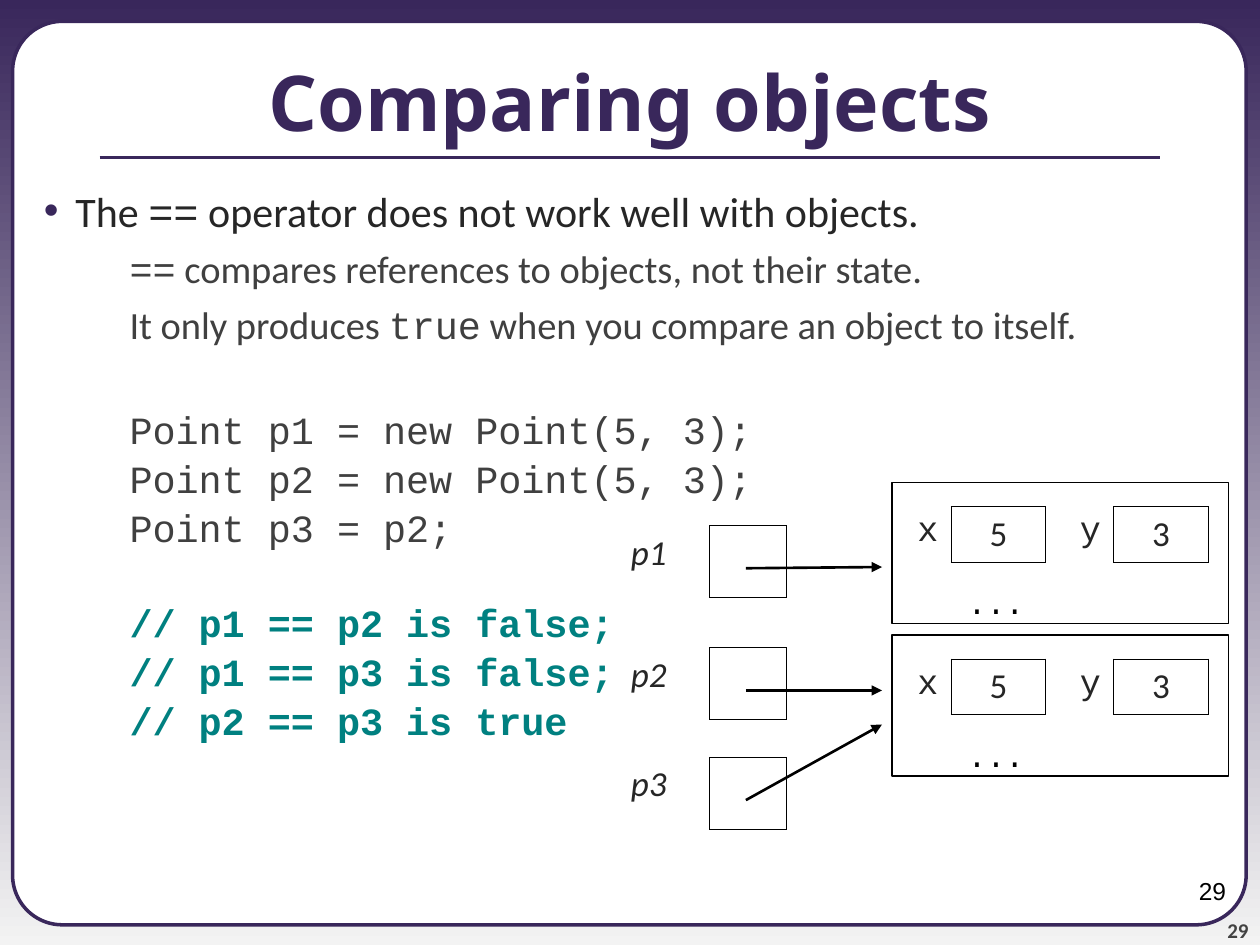
"""Build the slide on comparing objects with the == operator."""
import pptx
import pptx.util
import pptx.oxml
from pptx.dml.color import RGBColor
from pptx.enum.shapes import MSO_CONNECTOR, MSO_SHAPE
from pptx.enum.text import MSO_ANCHOR, PP_ALIGN
from pptx.oxml.ns import nsdecls
from pptx.util import Inches, Pt

PURPLE = RGBColor(0x39, 0x27, 0x5B)
PALE = RGBColor(0xF3, 0xF3, 0xF3)
WHITE = RGBColor(0xFF, 0xFF, 0xFF)
BLACK = RGBColor(0, 0, 0)
INK = RGBColor(0x26, 0x26, 0x26)
GREY = RGBColor(0x40, 0x40, 0x40)
NUMBER_GREY = RGBColor(0x42, 0x42, 0x42)
TEAL = RGBColor(0, 0x80, 0x80)
SANS, MONO = "Calibri", "Courier New"
NO_STYLE = "{2D5ABB26-0587-4C30-8999-92F81FD0307C}"

TITLE = "Comparing objects"
NUMBER = "29"
BULLETS = [
    [("The ", SANS), ("==", MONO), (" operator does not work well with objects.", SANS)],
    [("==", MONO), (" compares references to objects, not their state.", SANS)],
    [("It only produces ", SANS), ("true", MONO),
     (" when you compare an object to itself.", SANS)],
]
CODE = ["Point p1 = new Point(5, 3);", "Point p2 = new Point(5, 3);", "Point p3 = p2;"]
RESULTS = ["// p1 == p2 is false;", "// p1 == p3 is false;", "// p2 == p3 is true"]
FIELDS = [("x", MONO), ("5", SANS), (" y", MONO), ("3", SANS)]
FIELD_WIDTHS = [0.37, 0.75, 0.54, 0.75]
OBJECT_TOPS = [3.83, 5.04]
VARIABLES = [("p1", 4.17, 4.5), ("p2", 5.14, 5.48), ("p3", 6.01, 5.75)]


def style(run, size, font, color, bold=False, italic=False):
    f = run.font
    f.size, f.name, f.bold, f.italic = Pt(size), font, bold, italic
    f.color.rgb = color


def add_text(s, box, text, align, anchor, look, inset=True):
    tf = s.shapes.add_textbox(*map(Inches, box)).text_frame
    tf.word_wrap = True
    tf.vertical_anchor = anchor
    if not inset:
        tf.margin_left = tf.margin_right = tf.margin_top = tf.margin_bottom = 0
    tf.text = text
    p = tf.paragraphs[0]
    p.alignment = align
    style(p.runs[0], *look)


def add_line(s, start, end, color, width, arrow=False):
    c = s.shapes.add_connector(MSO_CONNECTOR.STRAIGHT, *map(Inches, start + end))
    c.line.color.rgb = color
    c.line.width = Pt(width)
    spPr = c._element.spPr
    if arrow:
        c.line._get_or_add_ln().append(
            pptx.oxml.parse_xml(f'<a:tailEnd {nsdecls("a")} type="triangle"/>'))
    spPr.append(pptx.oxml.parse_xml(f'<a:effectLst {nsdecls("a")}/>'))


def add_body(s):
    tf = s.shapes.add_textbox(*map(Inches, (0, 1.42, 10, 6.08))).text_frame
    tf.word_wrap = True
    lines = [(runs, 24 if i == 0 else 22, INK if i == 0 else GREY, False, 5.5 if i else 0, 1)
             for i, runs in enumerate(BULLETS)]
    for block, color, bold, gap in ((CODE, GREY, False, 37.8), (RESULTS, TEAL, True, 32.1)):
        lines += [([(text, MONO)], 22, color, bold, 5.5 if i else gap, 0.85)
                  for i, text in enumerate(block)]
    for i, (runs, size, color, bold, before, spacing) in enumerate(lines):
        p = tf.add_paragraph() if i else tf.paragraphs[0]
        p.space_before = Pt(before)
        p.line_spacing = spacing
        pPr = p._p.get_or_add_pPr()
        pPr.set("marL", str(Inches(0.93 if i else 0.5)))
        if i == 0:
            pPr.set("indent", str(Inches(-0.25)))
            for xml in (f'<a:buClr {nsdecls("a")}><a:srgbClr val="{PURPLE}"/></a:buClr>',
                        f'<a:buFont {nsdecls("a")} typeface="Arial"/>',
                        f'<a:buChar {nsdecls("a")} char="•"/>'):
                pPr.append(pptx.oxml.parse_xml(xml))
        for text, font in runs:
            r = p.add_run()
            r.text = text
            style(r, size, font, color, bold)


def add_cells(s, left, top, height, widths, cells, italic=False):
    frame = s.shapes.add_table(1, len(widths), Inches(left), Inches(top),
                               Inches(sum(widths)), Inches(height))
    table = frame.table
    table.first_row = table.horz_banding = False
    table._tbl.tblPr[0].text = NO_STYLE
    for i, (width, (text, font)) in enumerate(zip(widths, cells)):
        table.columns[i].width = Inches(width)
        cell = table.cell(0, i)
        cell.fill.background()
        edges = "LRTB" if i % 2 else "LR" if i else "R"
        tcPr = cell._tc.get_or_add_tcPr()
        for n, edge in enumerate(edges):
            tcPr.insert(n, pptx.oxml.parse_xml(
                f'<a:ln{edge} {nsdecls("a")} w="{Pt(0.45)}"><a:solidFill>'
                f'<a:srgbClr val="{BLACK}"/></a:solidFill></a:ln{edge}>'))
        if text:
            cell.text_frame.text = text
            p = cell.text_frame.paragraphs[0]
            p.alignment = PP_ALIGN.CENTER
            style(p.runs[0], 20, font, INK, italic=italic)


def add_object(s, top):
    sp = s.shapes.add_shape(MSO_SHAPE.RECTANGLE, *map(Inches, (7.08, top, 2.67, 1.12)))
    sp.shadow.inherit = False
    sp.fill.background()
    sp.line.color.rgb = BLACK
    sp.line.width = Pt(0.75)
    tf = sp.text_frame
    tf.vertical_anchor = MSO_ANCHOR.BOTTOM
    tf.margin_left, tf.margin_bottom = Inches(0.6), Inches(0.02)
    tf.text = "..."
    p = tf.paragraphs[0]
    p.alignment = PP_ALIGN.LEFT
    style(p.runs[0], 18, MONO, BLACK)
    add_cells(s, 7.18, top + 0.19, 0.44, FIELD_WIDTHS, FIELDS)


def main():
    prs = pptx.Presentation()
    prs.slide_width, prs.slide_height = Inches(10), Inches(7.5)
    s = prs.slides.add_slide(prs.slide_layouts[6])
    fill = s.background.fill
    fill.gradient()
    fill.gradient_angle = 270
    for stop, color in zip(fill.gradient_stops, (PURPLE, PALE)):
        stop.color.rgb = color

    panel = s.shapes.add_shape(MSO_SHAPE.ROUNDED_RECTANGLE,
                               *map(Inches, (0.1, 0.17, 9.79, 7.17)))
    panel.adjustments[0] = 0.055
    panel.shadow.inherit = False
    panel.fill.solid()
    panel.fill.fore_color.rgb = WHITE
    panel.line.color.rgb = PURPLE
    panel.line.width = Pt(2)

    add_text(s, (9.08, 7.08, 0.83, 0.4), NUMBER, PP_ALIGN.RIGHT, MSO_ANCHOR.BOTTOM,
             (12, SANS, NUMBER_GREY, True), inset=False)
    add_line(s, (0.79, 1.25), (9.21, 1.25), PURPLE, 2.25)
    add_text(s, (0, 0.17, 10, 1.25), TITLE, PP_ALIGN.CENTER, MSO_ANCHOR.MIDDLE,
             (44, "Noto Sans", PURPLE, True))
    add_body(s)
    for top in OBJECT_TOPS:
        add_object(s, top)
    for name, top, target in VARIABLES:
        add_cells(s, 4.67, top, 0.57, [0.96, 0.61], [(name, SANS), ("", SANS)], italic=True)
        add_line(s, (5.92, top + 0.34), (7, target), BLACK, 1.5, arrow=True)
    add_text(s, (7.5, 6.9, 2.33, 0.52), NUMBER, PP_ALIGN.RIGHT, MSO_ANCHOR.TOP,
             (14, "Arial", BLACK))
    prs.save("out.pptx")


if __name__ == "__main__":
    main()
